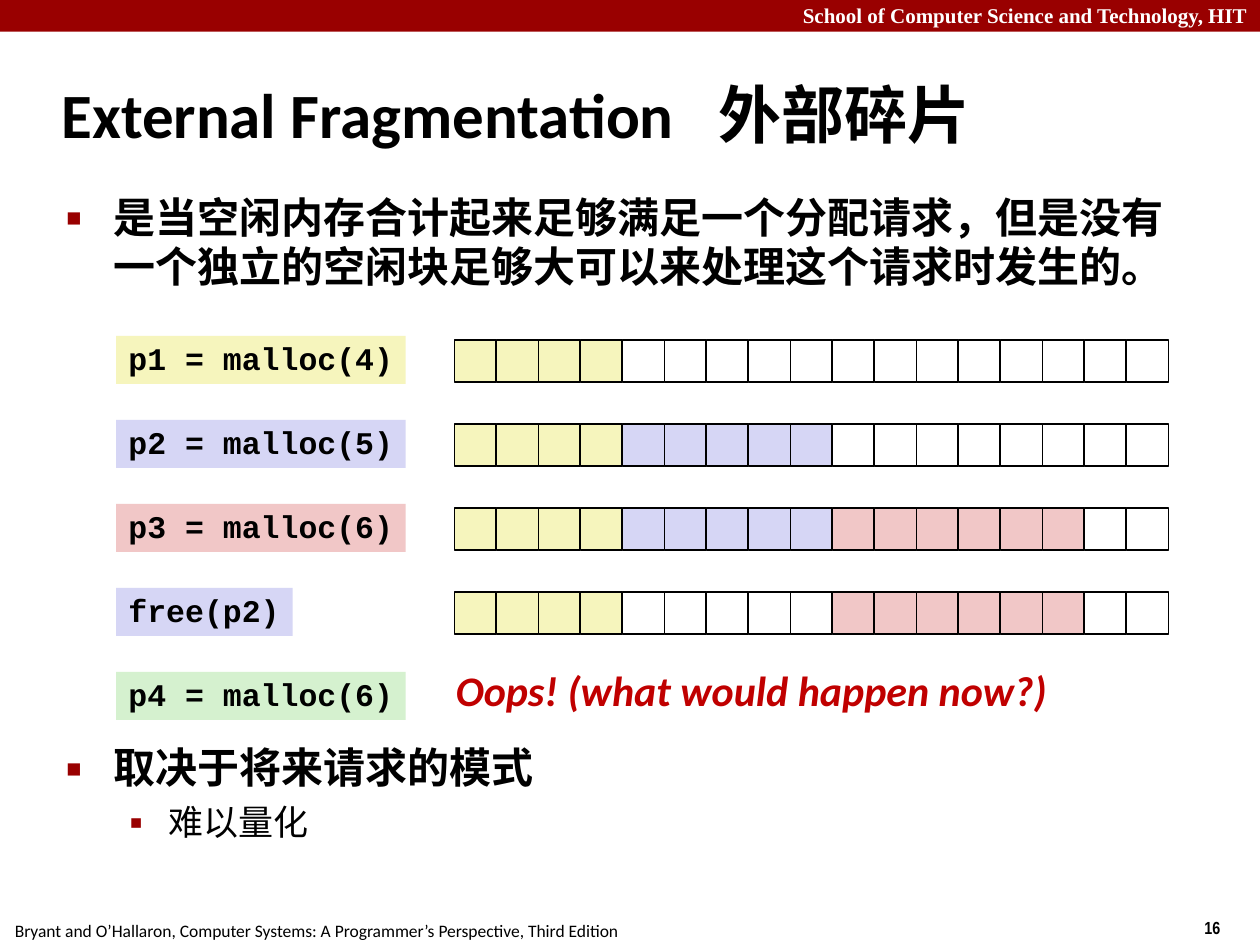
"""Build the slide on external fragmentation."""
from lxml import etree
from pptx import Presentation
from pptx.dml.color import RGBColor as Rgb
from pptx.enum.shapes import MSO_SHAPE as Kind
from pptx.enum.text import MSO_ANCHOR as Anchor, PP_ALIGN as Align
from pptx.oxml.ns import qn
from pptx.util import Cm, Pt

HEX = {"band": "990000", "ink": "000000", "none": "FFFFFF", "oops": "C00000",
       "p1": "F6F5BD", "p2": "D6D6F5", "p3": "F1C7C7", "p4": "D5F1CF"}
HEAD = "School of Computer Science and Technology, HIT"
FOOT = "Bryant and O’Hallaron, Computer Systems: A Programmer’s Perspective, Third Edition"
TITLE = "External Fragmentation\t外部碎片"
OOPS = "Oops! (what would happen now?)"
TOP = [("是当空闲内存合计起来足够满足一个分配请求，但是没有"
        "一个独立的空闲块足够大可以来处理这个请求时发生的。", 0)]
END = [("取决于将来请求的模式", 0), ("难以量化", 1)]
LEVELS = [
    {"size": 24, "bold": True, "left": 0.95, "hang": 0.95, "gap": 6, "sign": "■", "pct": 60},
    {"size": 20, "bold": False, "left": 2.06, "hang": 0.79, "gap": 5, "sign": "▪", "pct": 110},
]
CALLS = [
    ("p1 = malloc(4)", "p1", 5.84, [("p1", 4), ("none", 13)]),
    ("p2 = malloc(5)", "p2", 5.84, [("p1", 4), ("p2", 5), ("none", 8)]),
    ("p3 = malloc(6)", "p3", 5.84, [("p1", 4), ("p2", 5), ("p3", 6), ("none", 2)]),
    ("free(p2)", "p2", 3.56, [("p1", 4), ("none", 5), ("p3", 6), ("none", 2)]),
    ("p4 = malloc(6)", "p4", 5.84, []),
]
CELL = 2.54 / 3
STEP = 2 * CELL


def tint(name):
    return Rgb.from_string(HEX[name])


def style(para, size, face="Calibri", ink="ink", bold=False, slant=False):
    font = para.font
    font.size, font.name, font.bold, font.italic = Pt(size), face, bold, slant
    font.color.rgb = tint(ink)


def rect(home, box, fill, edge=None):
    shape = home.add_shape(Kind.RECTANGLE, *map(Cm, box))
    shape.shadow.inherit = False
    shape.fill.solid()
    shape.fill.fore_color.rgb = tint(fill)
    if edge:
        shape.line.color.rgb = tint(edge)
        shape.line.width = Pt(1)
    else:
        shape.line.fill.background()
    return shape


def write(shape, text, size, wrap=False, align=Align.LEFT, **look):
    frame = shape.text_frame
    frame.word_wrap = wrap
    frame.vertical_anchor = Anchor.TOP
    para = frame.paragraphs[0]
    para.text, para.alignment = text, align
    style(para, size, **look)
    return frame


def label(home, box, text, size, **look):
    return write(home.add_textbox(*map(Cm, box)), text, size, **look)


def add(node, tag, **attrs):
    return etree.SubElement(node, qn(tag), **attrs)


def bullets(home, box, items):
    frame = home.add_textbox(*map(Cm, box)).text_frame
    frame.word_wrap = True
    for num, (text, rank) in enumerate(items):
        look = LEVELS[rank]
        para = frame.add_paragraph() if num else frame.paragraphs[0]
        para.text, para.level = text, rank
        para.line_spacing, para.space_before = 0.98, Pt(look["gap"])
        props = para._p.get_or_add_pPr()
        props.set("marL", str(Cm(look["left"])))
        props.set("indent", str(-Cm(look["hang"])))
        add(add(props, "a:buClr"), "a:srgbClr", val=HEX["band"])
        add(props, "a:buSzPct", val=str(look["pct"] * 1000))
        add(props, "a:buFont", typeface="Arial")
        add(props, "a:buChar", char=look["sign"])
        style(para, look["size"], bold=look["bold"])


def heap(home, top, runs):
    row = home.add_group_shape().shapes
    fills = [name for name, count in runs for _ in range(count)]
    for num, fill in enumerate(fills):
        rect(row, (9.16 + num * CELL, top, CELL, CELL), fill, "ink")


def main():
    deck = Presentation()
    deck.slide_width, deck.slide_height = Cm(25.4), Cm(19.05)
    home = deck.slides.add_slide(deck.slide_layouts[6]).shapes

    rect(home, (0, 0, 25.4, 0.64), "band")
    label(home, (0, -0.08, 25.4, 0.76), HEAD, 12, wrap=True, align=Align.RIGHT,
          face="Times New Roman", ink="none", bold=True)
    label(home, (24.03, 18.36, 1.37, 0.69), "16", 10, wrap=True,
          face="Arial Narrow", bold=True)
    label(home, (0.05, 18.42, 12.73, 0.69), FOOT, 10)

    title = label(home, (0.99, 1.22, 21.08, 2.11), TITLE, 36, wrap=True, bold=True)
    title.vertical_anchor = Anchor.MIDDLE
    tabs = add(title.paragraphs[0]._p.get_or_add_pPr(), "a:tabLst")
    tabs.getparent().insert(0, tabs)
    add(tabs, "a:tab", pos=str(Cm(13.25)), algn="l")

    bullets(home, (1.09, 3.78, 23.19, 2.3), TOP)
    bullets(home, (1.09, 14.88, 23.19, 2.6), END)

    for num, (text, fill, wide, runs) in enumerate(CALLS):
        top = 6.77 + num * STEP
        if runs:
            heap(home, top + 0.09, runs)
        frame = write(rect(home, (2.34, top, wide, 0.97), fill), text, 18,
                      face="Courier New", bold=True)
        frame.paragraphs[0].line_spacing = 0.94
    label(home, (8.94, 13.28, 12.42, 1.27), OOPS, 24, ink="oops", bold=True, slant=True)
    deck.save("out.pptx")


if __name__ == "__main__":
    main()
